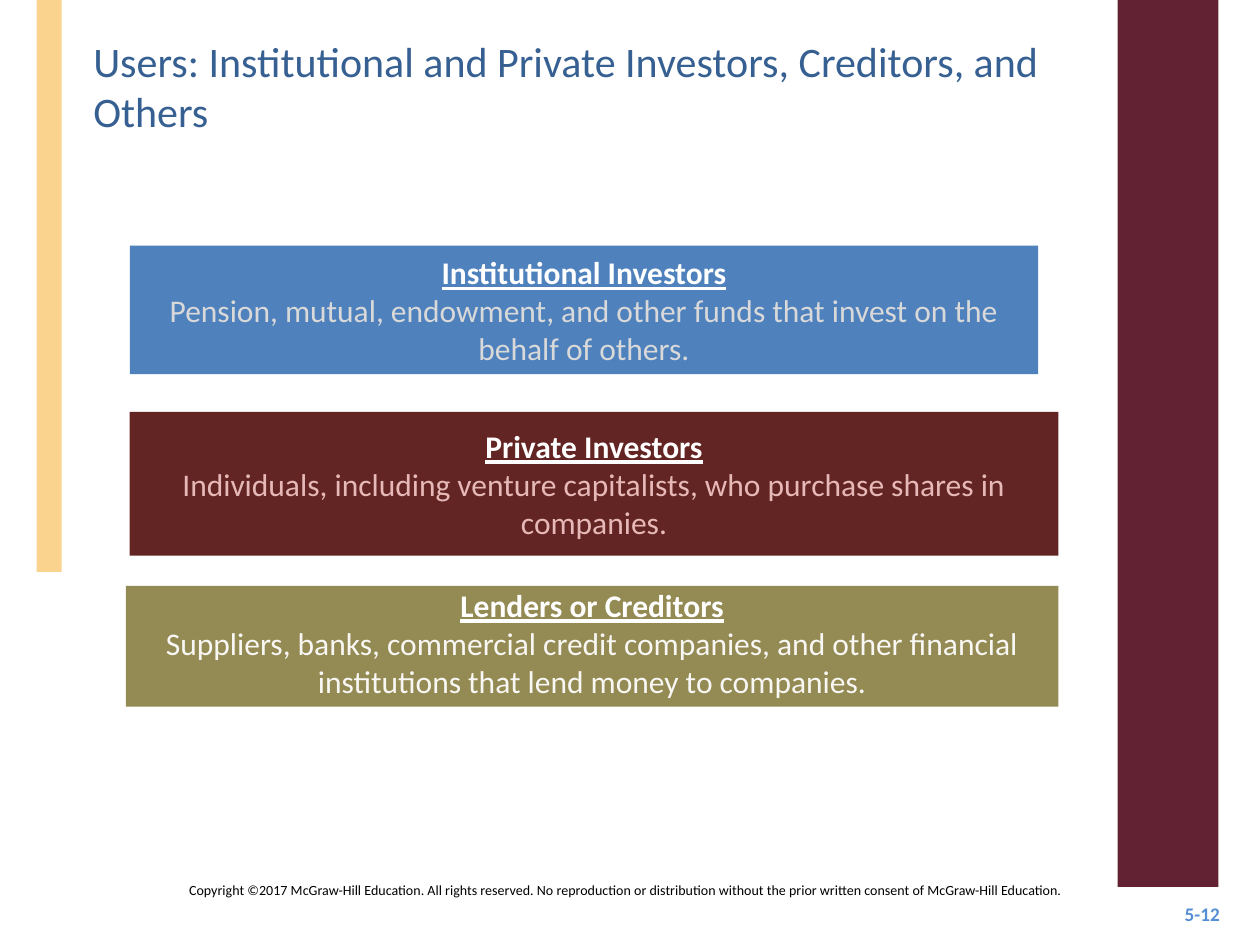
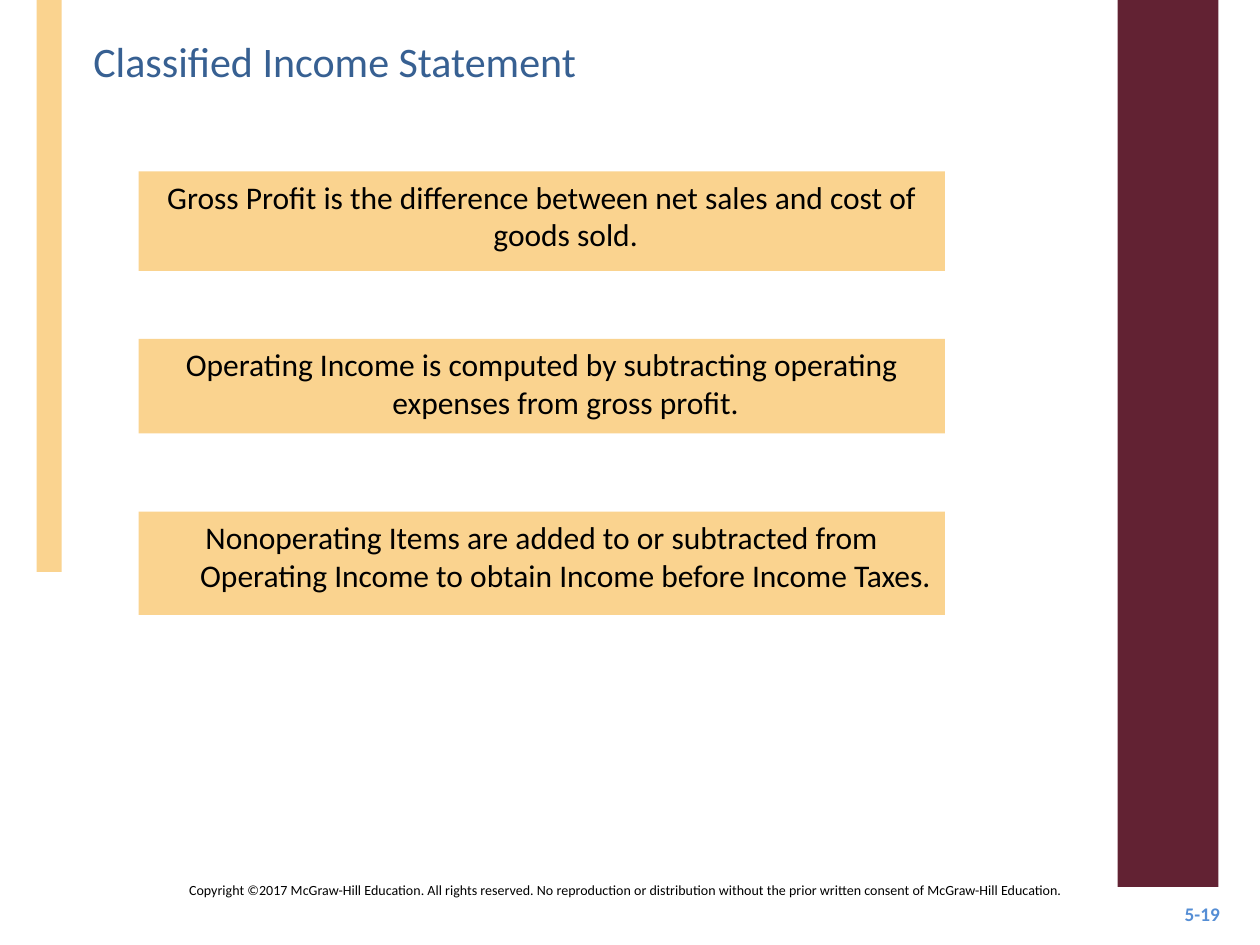
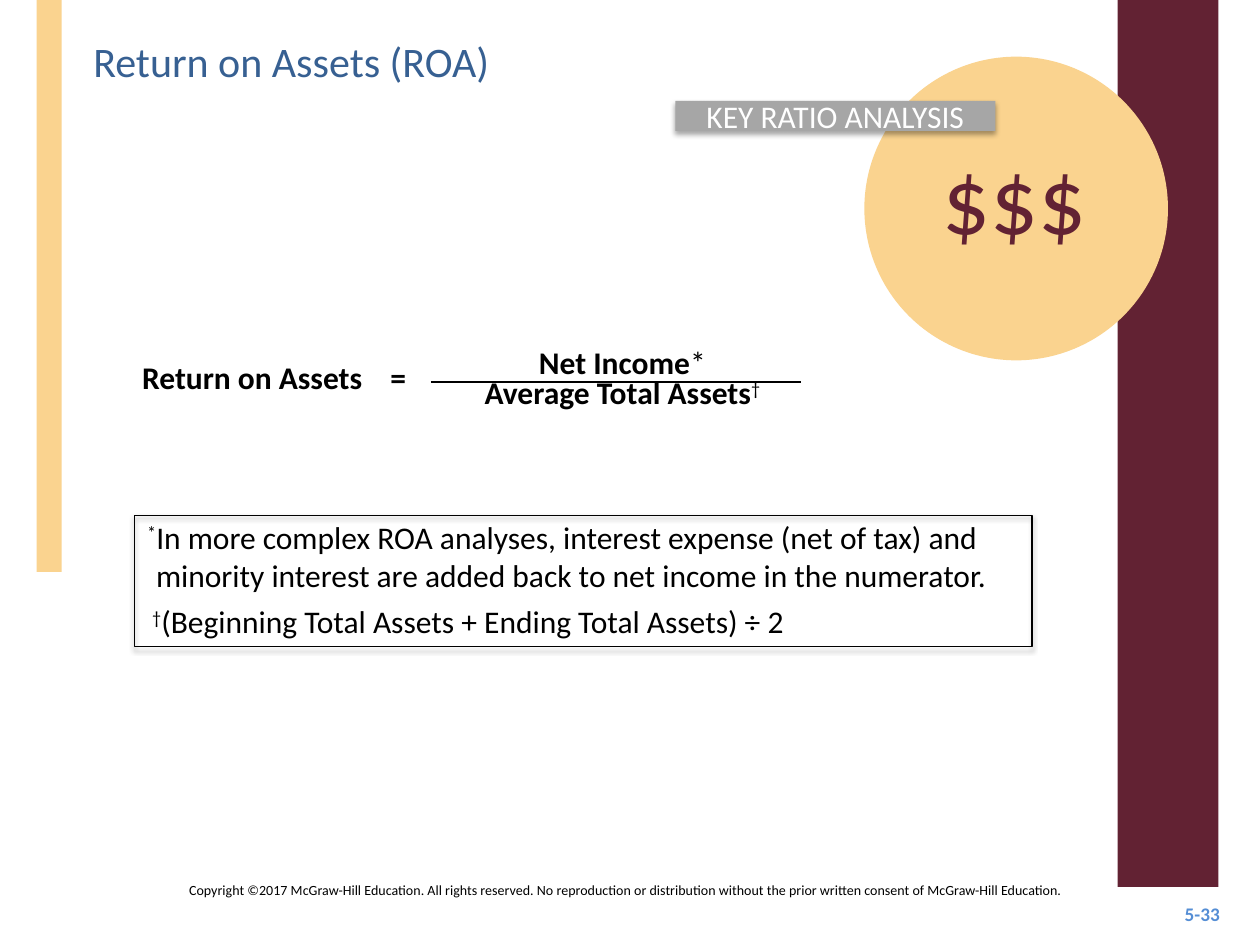
from lxml import etree
from pptx import Presentation
from pptx.dml.color import RGBColor
from pptx.enum.shapes import MSO_CONNECTOR, MSO_SHAPE
from pptx.enum.text import MSO_ANCHOR, PP_ALIGN
from pptx.oxml.ns import qn
from pptx.util import Inches, Pt

FONT = "Calibri"
GOLD, MAROON, TITLE_BLUE, NUMBER_BLUE = "FAD38F", "622233", "376092", "558ED5"
BLACK, WHITE, GREY = "000000", "FFFFFF", "A6A6A6"
COPYRIGHT = (
    "Copyright ©2017 McGraw-Hill Education. All rights reserved. No reproduction "
    "or distribution without the prior written consent of McGraw-Hill Education."
)


def rgb(value):
    return RGBColor.from_string(value)


def inches(box):
    return [Inches(length) for length in box]


def set_font(paragraph, size, color, bold=False, underline=False):
    font = paragraph.font
    font.name, font.size = FONT, Pt(size)
    font.bold, font.underline = bold, underline
    font.color.rgb = rgb(color)


def set_hanging(paragraph, indent):
    properties = paragraph._p.get_or_add_pPr()
    properties.set("marL", str(Inches(indent)))
    properties.set("indent", str(-Inches(indent)))


def set_tab(paragraph, position):
    tabs = etree.SubElement(paragraph._p.get_or_add_pPr(), qn("a:tabLst"))
    etree.SubElement(tabs, qn("a:tab"), pos=str(Inches(position)), algn="l")


def add_runs(paragraph, runs):
    for words, style in runs:
        run = paragraph.add_run()
        run.text = words
        if style == "bold":
            run.font.bold = True
        elif style == "raised":
            run.font._element.set("baseline", "30000")


def add_effects(properties, shadow=False):
    effects = etree.SubElement(properties, qn("a:effectLst"))
    if shadow:
        outer = etree.SubElement(effects, qn("a:outerShdw"), blurRad=str(Pt(3.1)),
                                 dist=str(Pt(1.8)), dir="5400000", rotWithShape="0")
        color = etree.SubElement(outer, qn("a:srgbClr"), val=BLACK)
        etree.SubElement(color, qn("a:alpha"), val="35000")


def add_panel(slide, box, fill=None, line=None, kind=MSO_SHAPE.RECTANGLE, shadow=False):
    panel = slide.shapes.add_shape(kind, *inches(box))
    if fill:
        panel.fill.solid()
        panel.fill.fore_color.rgb = rgb(fill)
    else:
        panel.fill.background()
    if line:
        panel.line.color.rgb = rgb(line)
        panel.line.width = Pt(0.75)
    else:
        panel.line.fill.background()
    if shadow:
        add_effects(panel._element.spPr, shadow=True)
    else:
        panel.shadow.inherit = False
    return panel


def add_text(slide, box, runs, size=18, color=BLACK, bold=False,
             align=PP_ALIGN.LEFT, anchor=MSO_ANCHOR.TOP):
    frame = slide.shapes.add_textbox(*inches(box)).text_frame
    frame.word_wrap = True
    frame.vertical_anchor = anchor
    paragraph = frame.paragraphs[0]
    paragraph.alignment = align
    add_runs(paragraph, [(runs, "")] if isinstance(runs, str) else runs)
    set_font(paragraph, size, color, bold)
    return frame


def add_slide(deck, title, number, title_width=8.37, title_height=0.57):
    slide = deck.slides.add_slide(deck.slide_layouts[5])
    heading = slide.shapes.title
    heading.left, heading.top, heading.width, heading.height = inches(
        (0.64, 0.23, title_width, title_height))
    frame = heading.text_frame
    frame.text = title
    frame.word_wrap = True
    frame.vertical_anchor = MSO_ANCHOR.TOP
    frame.paragraphs[0].alignment = PP_ALIGN.LEFT
    set_font(frame.paragraphs[0], 24, TITLE_BLUE)
    add_panel(slide, (0.29, 0, 0.2, 4.54), GOLD)
    add_panel(slide, (8.87, 0, 0.8, 7.04), MAROON)
    add_text(slide, (9.03, 7.05, 0.75, 0.4), number, 11, NUMBER_BLUE, True,
             PP_ALIGN.RIGHT, MSO_ANCHOR.MIDDLE)
    add_text(slide, (1.27, 6.95, 7.4, 0.4), COPYRIGHT, 8, align=PP_ALIGN.CENTER)
    return slide


def add_user_group(slide, box, fill, name, description, color,
                   anchor=MSO_ANCHOR.MIDDLE, name_spacing=1.0):
    frame = add_panel(slide, box, fill).text_frame
    frame.word_wrap = True
    frame.vertical_anchor = anchor
    heading, detail = frame.paragraphs[0], frame.add_paragraph()
    heading.text, detail.text = name, description
    heading.alignment = detail.alignment = PP_ALIGN.CENTER
    heading.line_spacing = name_spacing
    set_font(heading, 18, WHITE, bold=True, underline=True)
    set_font(detail, 18, color)


def add_definition(slide, top, height, words):
    frame = add_panel(slide, (1.1, top, 6.4, height), GOLD).text_frame
    frame.word_wrap = True
    frame.vertical_anchor = MSO_ANCHOR.TOP
    paragraph = frame.paragraphs[0]
    paragraph.text = words
    paragraph.alignment = PP_ALIGN.CENTER
    set_hanging(paragraph, 0.38)
    set_font(paragraph, 18, BLACK)


def add_ratio_badge(slide):
    add_panel(slide, (6.86, 0.45, 2.41, 2.41), GOLD, kind=MSO_SHAPE.OVAL)
    label = add_panel(slide, (5.36, 0.8, 2.54, 0.24), GREY, shadow=True).text_frame
    label.word_wrap = True
    label.vertical_anchor = MSO_ANCHOR.MIDDLE
    label.paragraphs[0].text = "KEY RATIO ANALYSIS"
    label.paragraphs[0].alignment = PP_ALIGN.CENTER
    set_font(label.paragraphs[0], 18, WHITE)
    add_text(slide, (7.02, 1.06, 2.06, 1.01), "$$$", 54, MAROON, align=PP_ALIGN.CENTER)


def add_ratio_formula(slide):
    frame = slide.shapes.add_textbox(*inches((1.03, 2.79, 4.33, 0.4))).text_frame
    frame.word_wrap = True
    ratio = frame.paragraphs[0]
    set_tab(ratio, 1.97)
    add_runs(ratio, [("Return on Assets\t=", "")])
    set_font(ratio, 18, BLACK, bold=True)

    fraction = add_text(slide, (2.31, 2.67, 5.26, 0.66),
                        [("Net Income", "bold"), ("*", "")], align=PP_ALIGN.CENTER)
    denominator = fraction.add_paragraph()
    denominator.alignment = PP_ALIGN.CENTER
    denominator.line_spacing = 0.8
    add_runs(denominator, [("Average Total Assets", "bold"), ("†", "raised")])
    set_font(denominator, 18, BLACK)

    fraction_bar = slide.shapes.add_connector(
        MSO_CONNECTOR.STRAIGHT, *inches((3.42, 3.03, 6.36, 3.03)))
    fraction_bar.line.color.rgb = rgb(BLACK)
    fraction_bar.line.width = Pt(1)
    add_effects(fraction_bar._element.spPr)


def add_ratio_notes(slide):
    add_panel(slide, (1.07, 4.09, 7.12, 1.04), line=BLACK, shadow=True)
    income_note = add_text(slide, (1.07, 4.06, 7.4, 0.71), [
        ("*", "raised"),
        ("In more complex ROA analyses, interest expense (net of tax) and minority "
         "interest are added back to net income in the numerator.", "")])
    set_hanging(income_note.paragraphs[0], 0.07)
    add_text(slide, (1.11, 4.73, 7.08, 0.4), [
        ("†", "raised"), ("(Beginning Total Assets + Ending Total Assets) ÷ 2", "")])


def build_users(deck):
    slide = add_slide(
        deck, "Users: Institutional and Private Investors, Creditors, and Others",
        "5-12", title_height=0.92)
    add_user_group(
        slide, (1.03, 1.95, 7.21, 1.02), "4F81BD", "Institutional Investors",
        "Pension, mutual, endowment, and other funds that invest on the behalf of others.",
        "D9D9D9")
    add_user_group(
        slide, (1.03, 3.27, 7.37, 1.14), "632523", "Private Investors",
        "Individuals, including venture capitalists, who purchase shares in companies.",
        "E6B9B8")
    add_user_group(
        slide, (1, 4.65, 7.4, 0.96), "948A54", "Lenders or Creditors",
        "Suppliers, banks, commercial credit companies, and other financial "
        "institutions that lend money to companies.",
        "F8F7F3", MSO_ANCHOR.TOP, 0.85)


def build_income_statement(deck):
    slide = add_slide(deck, "Classified Income Statement", "5-19")
    definitions = [
        (1.36, 0.79, "Gross Profit is the difference between net sales and cost of "
                     "goods sold."),
        (2.69, 0.75, "Operating Income is computed by subtracting operating expenses "
                     "from gross profit."),
        (4.06, 0.82, "Nonoperating Items are added to or subtracted from Operating "
                     "Income to obtain Income before Income Taxes."),
    ]
    for top, height, words in definitions:
        add_definition(slide, top, height, words)


def build_return_on_assets(deck):
    slide = add_slide(deck, "Return on Assets (ROA)", "5-33", 5.48, 0.51)
    add_ratio_badge(slide)
    add_ratio_formula(slide)
    add_ratio_notes(slide)


def main():
    deck = Presentation()
    deck.slide_width, deck.slide_height = Inches(10), Inches(7.5)
    build_users(deck)
    build_income_statement(deck)
    build_return_on_assets(deck)
    deck.save("out.pptx")


if __name__ == "__main__":
    main()
